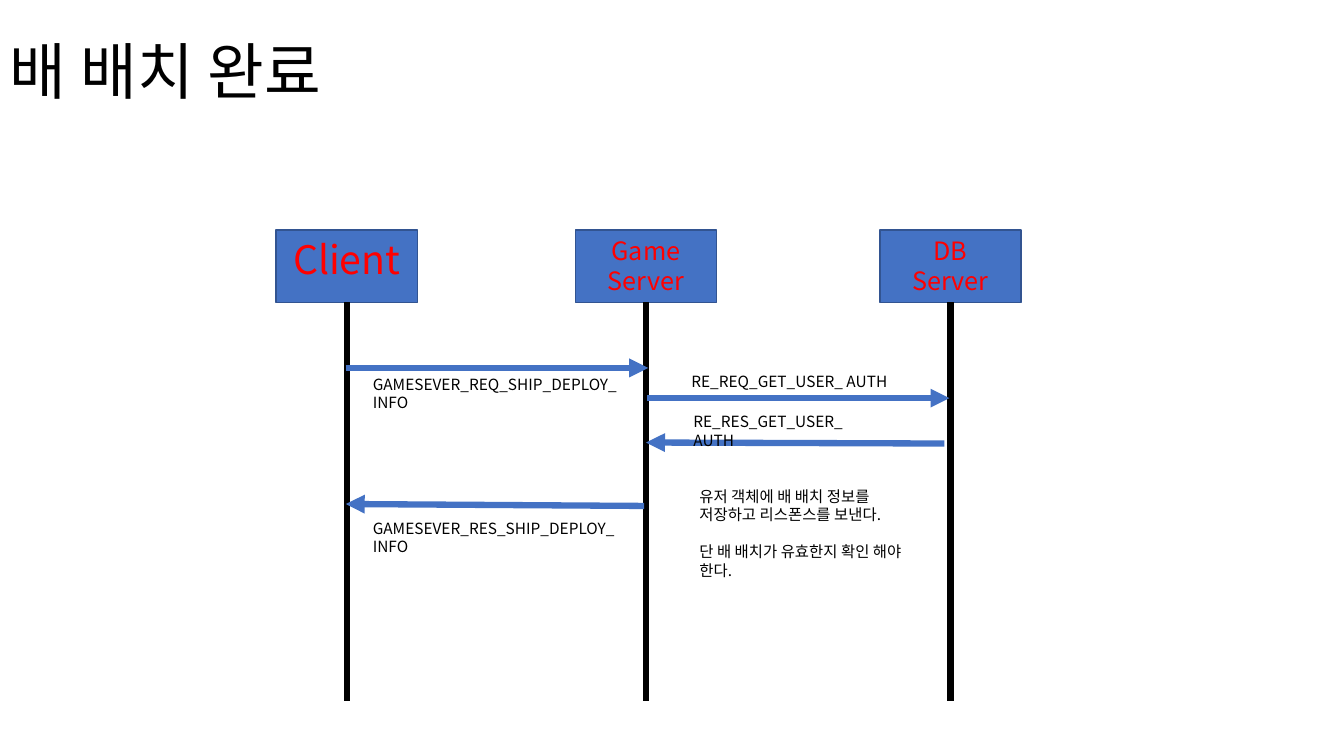
from lxml import etree
from pptx import Presentation
from pptx.dml.color import RGBColor
from pptx.enum.shapes import MSO_CONNECTOR, MSO_SHAPE
from pptx.enum.text import MSO_ANCHOR, PP_ALIGN
from pptx.oxml.ns import qn
from pptx.util import Pt

STRAIGHT = MSO_CONNECTOR.STRAIGHT
RECT = MSO_SHAPE.RECTANGLE
TOP, MIDDLE = MSO_ANCHOR.TOP, MSO_ANCHOR.MIDDLE
LEFT, CENTER = PP_ALIGN.LEFT, PP_ALIGN.CENTER
BLACK = RGBColor(0x00, 0x00, 0x00)
RED = RGBColor(0xFF, 0x00, 0x00)
BLUE = RGBColor(0x44, 0x72, 0xC4)
NAVY = RGBColor(0x32, 0x54, 0x91)
FACE = "Noto Sans CJK KR"
BOTTOM = 2

ACTORS = [
    (197.3, ["Client"], 28),
    (411.1, ["Game", "Server"], 18),
    (628.6, ["DB", "Server"], 18),
]
ARROWS = [
    (460.1, 361.4, 247, 360),
    (247, 262.8, 463, 262.8),
    (462.2, 284.4, 678.2, 284.4),
    (674.6, 316.8, 461.5, 316.1),
]
LABELS = [
    (259.2, 264.2, 190.8, "GAMESEVER_REQ_SHIP_DEPLOY_INFO"),
    (259.2, 367.2, 188.6, "GAMESEVER_RES_SHIP_DEPLOY_INFO"),
    (486.7, 262.1, 164.2, "RE_REQ_GET_USER_ AUTH"),
    (488.2, 290.9, 144, "RE_RES_GET_USER_ AUTH"),
]
NOTE = [
    "유저 객체에 배 배치 정보를",
    "저장하고 리스폰스를 보낸다.",
    "단 배 배치가 유효한지 확인 해야",
    "한다.",
]


def write(shape, lines, size, color=BLACK, align=LEFT, anchor=TOP):
    """Fill a shape with one paragraph per line."""
    frame = shape.text_frame
    frame.word_wrap = True
    frame.vertical_anchor = anchor
    frame.text = "\n".join(lines)
    for para in frame.paragraphs:
        para.alignment = align
        font = para.font
        font.name, font.size = FACE, Pt(size)
        font.color.rgb = color
        for run in para.runs:
            props = run._r.get_or_add_rPr()
            etree.SubElement(props, qn("a:ea")).set("typeface", FACE)
    return frame.paragraphs


def add_text(slide, x, y, wide, high, lines, size, anchor=TOP):
    """Add a wrapping text box and return its paragraphs."""
    box = slide.shapes.add_textbox(Pt(x), Pt(y), Pt(wide), Pt(high))
    return write(box, lines, size, anchor=anchor)


def add_line(slide, x1, y1, x2, y2, color, arrow=False):
    """Add a thick straight line, with an arrowhead if asked."""
    line = slide.shapes.add_connector(STRAIGHT, Pt(x1), Pt(y1), Pt(x2), Pt(y2))
    line.line.color.rgb = color
    line.line.width = Pt(4.5)
    if arrow:
        head = etree.SubElement(line.line._get_or_add_ln(), qn("a:tailEnd"))
        head.set("type", "triangle")
    etree.SubElement(line._element.spPr, qn("a:effectLst"))
    return line


def add_actor(slide, x, lines, size):
    """Add a named box with its lifeline."""
    box = slide.shapes.add_shape(RECT, Pt(x), Pt(164.2), Pt(100.8), Pt(51.8))
    box.shadow.inherit = False
    box.fill.solid()
    box.fill.fore_color.rgb = BLUE
    box.line.color.rgb = NAVY
    box.line.width = Pt(1)
    write(box, lines, size, RED, CENTER)
    mid = x + 50.4
    life = add_line(slide, mid, 216, mid, 500.4, BLACK)
    life.begin_connect(box, BOTTOM)


def main():
    """Build the sequence diagram slide."""
    deck = Presentation()
    deck.slide_width, deck.slide_height = Pt(960), Pt(540)
    slide = deck.slides.add_slide(deck.slide_layouts[6])
    title = add_text(slide, 0, 0.7, 828, 104.4, ["배 배치 완료"], 44, MIDDLE)
    title[0].line_spacing = 0.9
    for actor in ACTORS:
        add_actor(slide, *actor)
    for arrow in ARROWS:
        add_line(slide, *arrow, BLUE, arrow=True)
    for x, y, wide, text in LABELS:
        add_text(slide, x, y, wide, 20.9, [text], 11)
    note = add_text(slide, 492.5, 344.2, 178.6, 74.2, NOTE, 11)
    note[2].space_before = Pt(13.2)
    deck.save("out.pptx")


if __name__ == "__main__":
    main()
